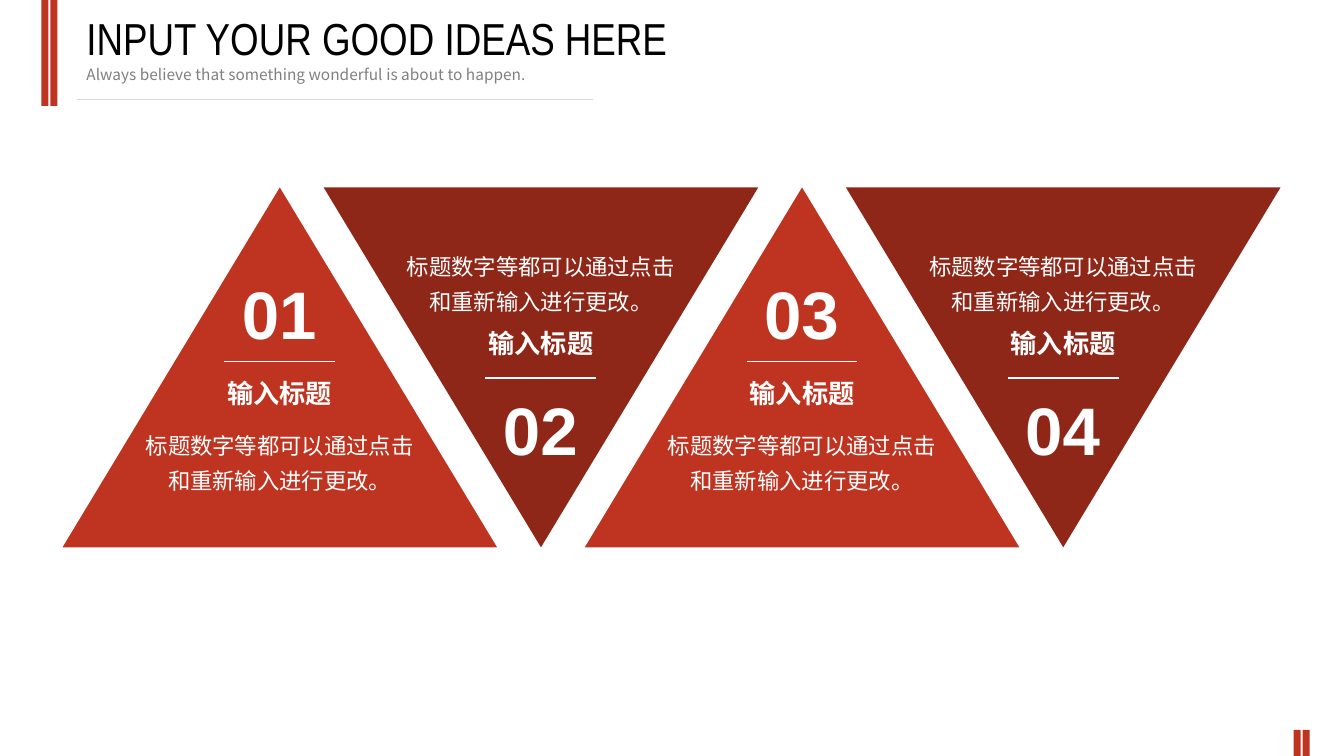
from pptx import Presentation
from pptx.dml.color import RGBColor
from pptx.enum import shapes, text
from pptx.oxml.ns import qn
from pptx.util import Inches, Pt
from lxml import etree

RED, DARK, WHITE = "BF3420", "8F2718", "FFFFFF"
TITLE = "输入标题"
BODY = "标题数字等都可以通过点击和重新输入进行更改。"


def color(code):
    return RGBColor.from_string(code)


def put_shape(slide, kind, x, y, w, h, fill, turn=0):
    shape = slide.shapes.add_shape(kind, Inches(x), Inches(y), Inches(w), Inches(h))
    shape.shadow.inherit = False
    shape.fill.solid()
    shape.fill.fore_color.rgb = color(fill)
    shape.line.fill.background()
    shape.rotation = turn


def put_line(slide, x, y, w, ink):
    line = slide.shapes.add_connector(
        shapes.MSO_CONNECTOR.STRAIGHT, Inches(x), Inches(y), Inches(x + w), Inches(y))
    line.line.color.rgb = color(ink)
    line.line.width = Pt(0.75)
    etree.SubElement(line._element.spPr, qn("a:effectLst"))


def put_text(slide, words, x, y, w, h, size, ink=WHITE, font="Arial",
             bold=False, align="CENTER", space=None, before=0):
    box = slide.shapes.add_textbox(Inches(x), Inches(y), Inches(w), Inches(h))
    frame = box.text_frame
    frame.word_wrap = True
    para = frame.paragraphs[0]
    para.alignment = getattr(text.PP_ALIGN, align)
    para.line_spacing = space
    para.space_before = Pt(before)
    run = para.add_run()
    run.text = words
    run.font.size = Pt(size)
    run.font.bold = bold
    run.font.name = font
    run.font.color.rgb = color(ink)
    # East Asian letters use the same font
    etree.SubElement(run.font._element, qn("a:ea")).set("typeface", font)


def put_bars(slide, x, y, h):
    for step in range(2):
        put_shape(slide, shapes.MSO_SHAPE.RECTANGLE, x + step * 0.09, y, 0.07, h, RED)


def put_head(slide, x, y):
    put_bars(slide, x, y, 1.05)
    left = x + 0.35
    put_line(slide, left, y + 0.99, 5.12, "D9D9D9")
    put_text(slide, "Always\u00a0believe that something\u00a0wonderful is about to happen.",
             left, y + 0.6, 7.06, 0.29, 11, ink="808080",
             font="Noto Sans CJK SC", align="LEFT", before=2.2)
    put_text(slide, "INPUT YOUR GOOD IDEAS HERE", left, y + 0.06, 8.67, 0.64, 32,
             ink="000000", font="Arial Narrow", align="LEFT", before=6.4)


def put_card(slide, x, y, w, h, num):
    down = num % 2 == 0
    put_shape(slide, shapes.MSO_SHAPE.ISOSCELES_TRIANGLE, x, y, w, h,
              DARK if down else RED, 180 if down else 0)
    # Tops of the title, body, number and rule within the triangle
    head, body, digit, rule = (1.34, 0.52, 1.94, 1.89) if down else (1.83, 2.3, 0.79, 1.73)
    mid = x + w / 2
    put_text(slide, TITLE, mid - 1.18, y + head, 2.36, 0.42, 18.7, bold=True)
    put_text(slide, BODY, mid - 1.52, y + body, 3.04, 0.77, 16, space=1.3, before=8)
    put_text(slide, f"{num:02}", mid - 0.72, y + digit, 1.43, 0.91, 48, bold=True)
    put_line(slide, mid - 0.55, y + rule, 1.1, WHITE)


def main():
    deck = Presentation()
    deck.slide_width, deck.slide_height = Inches(13.33), Inches(7.5)
    slide = deck.slides.add_slide(deck.slide_layouts[6])
    put_head(slide, 0.41, 0)
    # Row of alternating triangles
    for spot in range(4):
        put_card(slide, 0.62 + spot * 2.59, 1.86, 4.31, 3.57, spot + 1)
    # Corner mark
    put_bars(slide, 12.83, 7.24, 0.26)
    deck.save("out.pptx")


if __name__ == "__main__":
    main()
